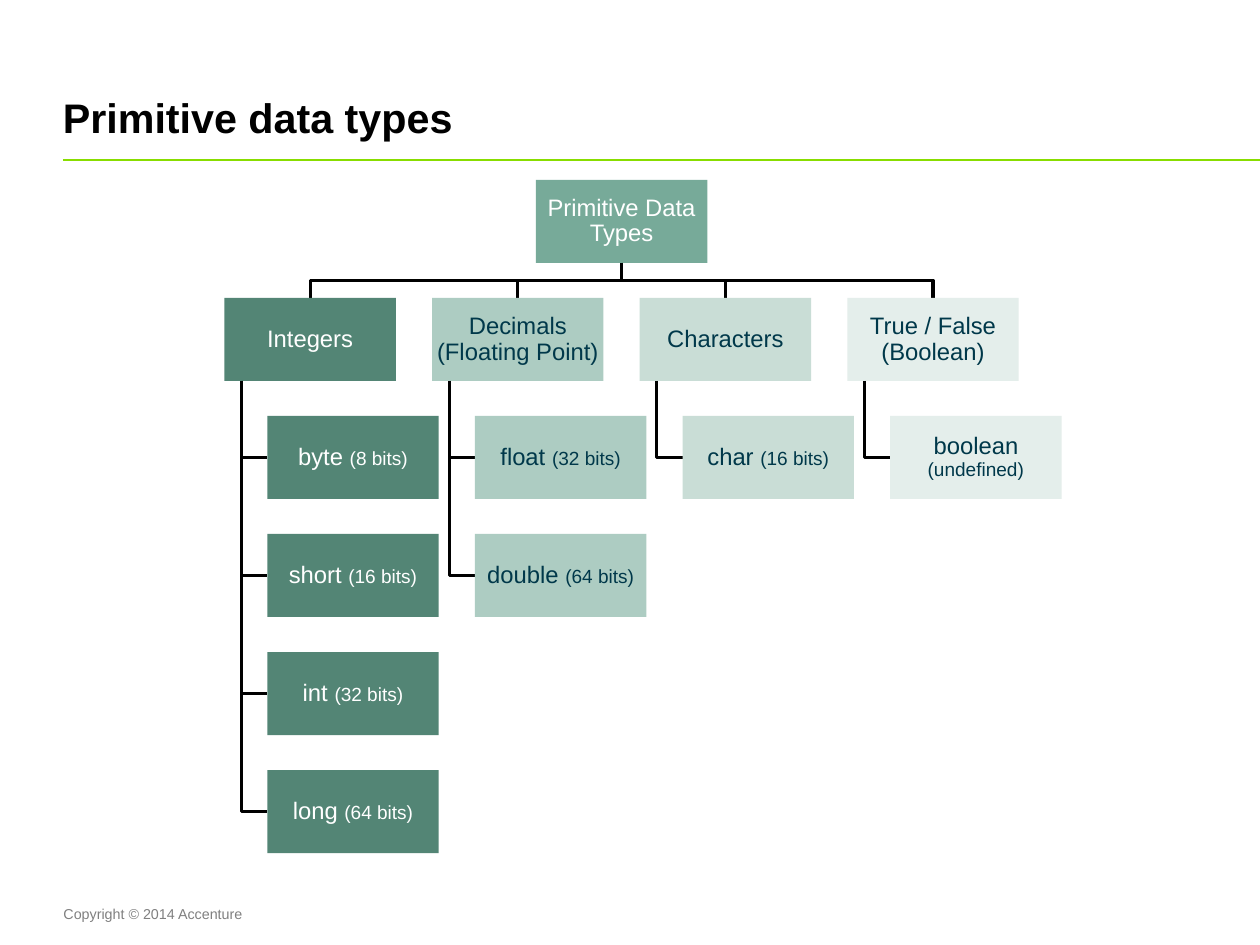
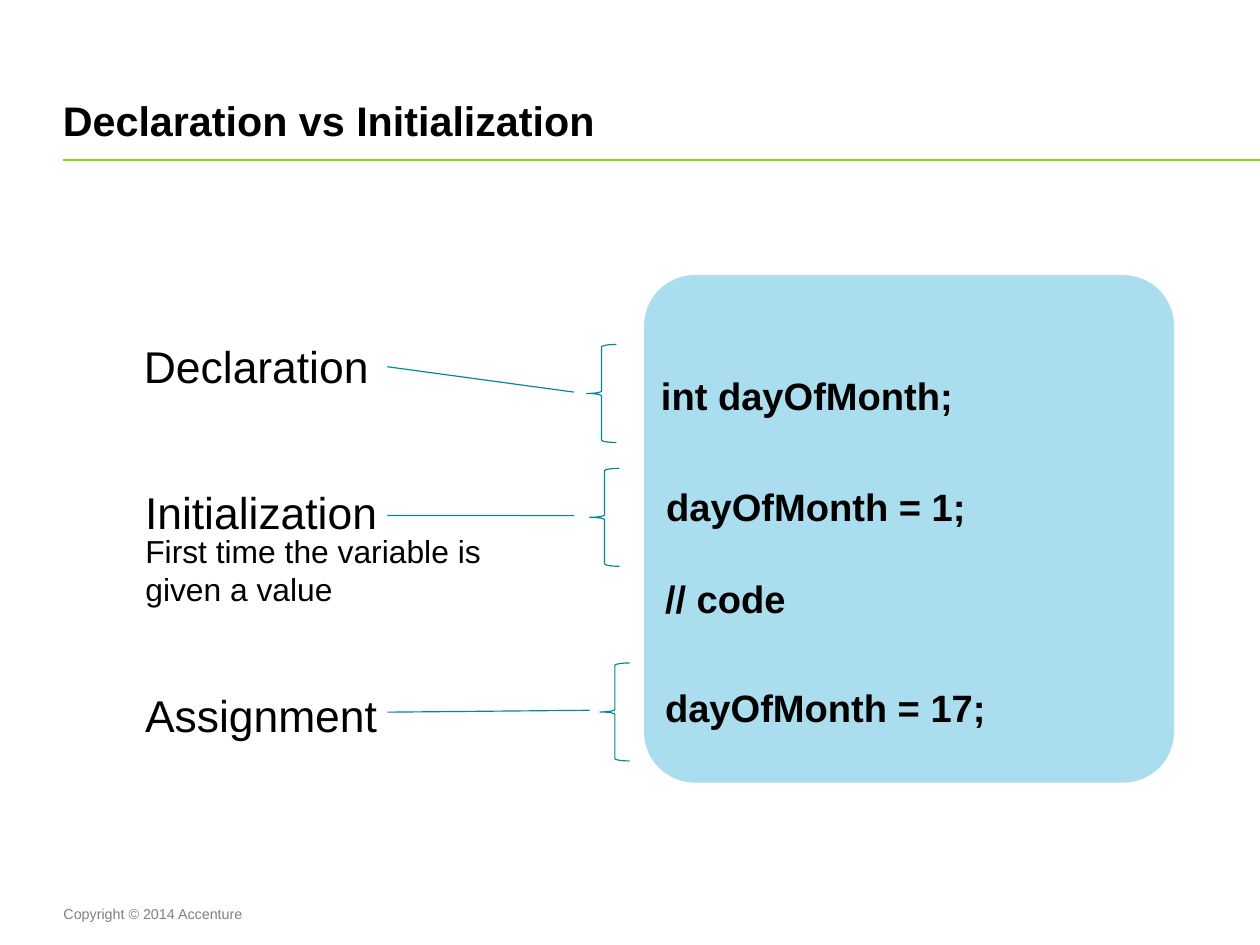
import pptx
import pptx.dml.color
import pptx.enum.shapes
import pptx.enum.text
import pptx.oxml.ns
import pptx.util
from lxml import etree

Pt = pptx.util.Pt
RGBColor = pptx.dml.color.RGBColor
MSO_SHAPE = pptx.enum.shapes.MSO_SHAPE
MSO_ANCHOR = pptx.enum.text.MSO_ANCHOR
PP_ALIGN = pptx.enum.text.PP_ALIGN

FONT = "Arial"
BLACK = RGBColor(0x00, 0x00, 0x00)
WHITE = RGBColor(0xFF, 0xFF, 0xFF)
GREY = RGBColor(0x80, 0x80, 0x80)
LIME = RGBColor(0x88, 0xDD, 0x00)
TEAL = RGBColor(0x00, 0x88, 0x99)
SKY = RGBColor(0xAA, 0xDD, 0xEE)
NAVY = RGBColor(0x00, 0x38, 0x4A)
SAGE = RGBColor(0x77, 0xAA, 0x99)
GREEN_DARK = RGBColor(0x53, 0x85, 0x75)
GREEN_MID = RGBColor(0xAD, 0xCC, 0xC2)
GREEN_LIGHT = RGBColor(0xC9, 0xDD, 0xD6)
GREEN_PALE = RGBColor(0xE4, 0xEE, 0xEB)

SLIDE_W, SLIDE_H = 793.75, 595.25
MARGIN = 39.6
TITLE_ONLY = 5

# Tree grid
NODE_W, NODE_H = 108, 52.3
COLUMN_STEP, ROW_STEP = 130.8, 74.35
TREE_LEFT, TREE_TOP = 141.4, 113.3
LEAF_INDENT, TRUNK_INDENT = 27, 10.8

# (heading, fill, text colour, [(type name, size note)])
FAMILIES = [
    ("Integers", GREEN_DARK, WHITE,
     [("byte ", "(8 bits)"), ("short ", "(16 bits)"),
      ("int ", "(32 bits)"), ("long ", "(64 bits)")]),
    ("Decimals (Floating Point)", GREEN_MID, NAVY,
     [("float ", "(32 bits)"), ("double ", "(64 bits)")]),
    ("Characters", GREEN_LIGHT, NAVY, [("char ", "(16 bits)")]),
    ("True / False (Boolean)", GREEN_PALE, NAVY,
     [("boolean ", "(undefined)")]),
]

# (term, left, bottom, pointer start y, pointer end, brace corner)
TERMS = [
    ("Declaration", 90.7, 247, 231, (361.5, 247), (369.6, 217)),
    ("Initialization", 91.4, 339, 324.7, (361.5, 324.8), (371.5, 295)),
    ("Assignment", 91.4, 467.3, 448.6, (371.5, 447.4), (378, 417.6)),
]

# (code, left, middle)
CODE_LINES = [
    ("int dayOfMonth;", 416.4, 249),
    ("dayOfMonth = 1;", 419.7, 319),
    ("// code", 419, 377),
    ("dayOfMonth = 17;", 419, 445.5),
]


def style_font(font, size, color, bold=False):
    font.name = FONT
    font.size = Pt(size)
    font.bold = bold
    font.color.rgb = color


def frame_text(frame, anchor, inset=0):
    """Wrap the text of a frame and give it equal insets."""
    frame.word_wrap = True
    frame.auto_size = pptx.enum.text.MSO_AUTO_SIZE.NONE
    frame.vertical_anchor = anchor
    frame.margin_left = frame.margin_right = Pt(inset)
    frame.margin_top = frame.margin_bottom = Pt(inset)


def add_label(slide, text, left, top, width, height, size, color=BLACK,
              bold=False, anchor=MSO_ANCHOR.MIDDLE):
    label = slide.shapes.add_textbox(Pt(left), Pt(top), Pt(width), Pt(height))
    frame_text(label.text_frame, anchor)
    paragraph = label.text_frame.paragraphs[0]
    paragraph.text = text
    style_font(paragraph.font, size, color, bold)


def add_line(slide, start, end, color, weight):
    line = slide.shapes.add_connector(
        pptx.enum.shapes.MSO_CONNECTOR.STRAIGHT,
        *(Pt(value) for value in start + end))
    line.line.color.rgb = color
    line.line.width = Pt(weight)
    etree.SubElement(line._element.spPr, pptx.oxml.ns.qn("a:effectLst"))


def add_filled(slide, kind, left, top, width, height, fill):
    shape = slide.shapes.add_shape(
        kind, Pt(left), Pt(top), Pt(width), Pt(height))
    shape.shadow.inherit = False
    shape.fill.solid()
    shape.fill.fore_color.rgb = fill
    shape.line.fill.background()
    return shape


def add_branch(slide, points):
    """Draw an open, angular line of the tree."""
    start, *rest = [(Pt(x), Pt(y)) for x, y in points]
    builder = slide.shapes.build_freeform(*start)
    builder.add_line_segments(rest, close=False)
    branch = builder.convert_to_shape()
    branch.shadow.inherit = False
    branch.fill.background()
    branch.line.color.rgb = BLACK
    branch.line.width = Pt(2)


def add_node(slide, left, top, fill, color, name, note=None):
    node = add_filled(
        slide, MSO_SHAPE.RECTANGLE, left, top, NODE_W, NODE_H, fill)
    frame_text(node.text_frame, MSO_ANCHOR.MIDDLE, 0.75)
    paragraph = node.text_frame.paragraphs[0]
    paragraph.alignment = PP_ALIGN.CENTER
    paragraph.line_spacing = 0.9
    paragraph.space_after = Pt(5.2)
    style_font(paragraph.font, 15, color)
    paragraph.add_run().text = name
    if note:
        note_run = paragraph.add_run()
        note_run.text = note
        note_run.font.size = Pt(12)


def add_brace(slide, left, top):
    brace = slide.shapes.add_shape(
        MSO_SHAPE.LEFT_BRACE, Pt(left), Pt(top), Pt(18.7), Pt(61.7))
    brace.shadow.inherit = False
    brace.fill.background()
    brace.line.color.rgb = TEAL
    brace.line.width = Pt(0.75)


def add_titled_slide(deck, heading, title_top, title_height):
    """Add a slide with the shared title, rule and footer."""
    slide = deck.slides.add_slide(deck.slide_layouts[TITLE_ONLY])
    add_line(slide, (MARGIN, 100.8), (SLIDE_W, 100.8), LIME, 1)
    add_label(slide, "Copyright © 2014 Accenture", MARGIN + 0.4, 566.5,
              720, 18, 9, GREY)
    title = slide.shapes.title
    title.left, title.top = Pt(MARGIN), Pt(title_top)
    title.width, title.height = Pt(714), Pt(title_height)
    frame_text(title.text_frame, MSO_ANCHOR.MIDDLE)
    paragraph = title.text_frame.paragraphs[0]
    paragraph.text = heading
    paragraph.alignment = PP_ALIGN.LEFT
    style_font(paragraph.font, 26, BLACK, bold=True)
    return slide


def build_types_slide(deck):
    slide = add_titled_slide(deck, "Primitive data types", 23.8, 99.4)
    root_left = TREE_LEFT + COLUMN_STEP * (len(FAMILIES) - 1) / 2
    root_x = root_left + NODE_W / 2
    root_bottom = TREE_TOP + NODE_H
    family_top = TREE_TOP + ROW_STEP
    bus_y = (root_bottom + family_top) / 2

    add_node(slide, root_left, TREE_TOP, SAGE, WHITE, "Primitive Data Types")
    for column, (heading, fill, color, types) in enumerate(FAMILIES):
        left = TREE_LEFT + column * COLUMN_STEP
        family_x = left + NODE_W / 2
        trunk_x = left + TRUNK_INDENT
        leaf_left = left + LEAF_INDENT
        add_branch(slide, [(root_x, root_bottom), (root_x, bus_y),
                           (family_x, bus_y), (family_x, family_top)])
        add_node(slide, left, family_top, fill, color, heading)
        for row, (name, note) in enumerate(types, start=1):
            leaf_top = family_top + row * ROW_STEP
            leaf_y = leaf_top + NODE_H / 2
            add_branch(slide, [(trunk_x, family_top + NODE_H),
                               (trunk_x, leaf_y), (leaf_left, leaf_y)])
            add_node(slide, leaf_left, leaf_top, fill, color, name, note)


def build_declaration_slide(deck):
    slide = add_titled_slide(deck, "Declaration vs Initialization", 49.3, 52.6)
    panel = add_filled(
        slide, MSO_SHAPE.ROUNDED_RECTANGLE, 405.8, 173.3, 333.8, 319.7, SKY)
    panel.adjustments[0] = 0.1
    for code, left, middle in CODE_LINES:
        add_label(slide, code, left, middle - 15, 310, 30, 24, bold=True)
    for term, left, bottom, start_y, pointer_end, brace_corner in TERMS:
        add_label(slide, term, left, bottom - 40, 185, 40, 28,
                  anchor=MSO_ANCHOR.BOTTOM)
        add_line(slide, (244, start_y), pointer_end, TEAL, 0.75)
        add_brace(slide, *brace_corner)
    add_label(slide, "First time the variable is given a value",
              91.6, 334.8, 249, 48, 20, anchor=MSO_ANCHOR.BOTTOM)


def main():
    deck = pptx.Presentation()
    deck.slide_width, deck.slide_height = Pt(SLIDE_W), Pt(SLIDE_H)
    build_types_slide(deck)
    build_declaration_slide(deck)
    deck.save("out.pptx")


if __name__ == "__main__":
    main()
